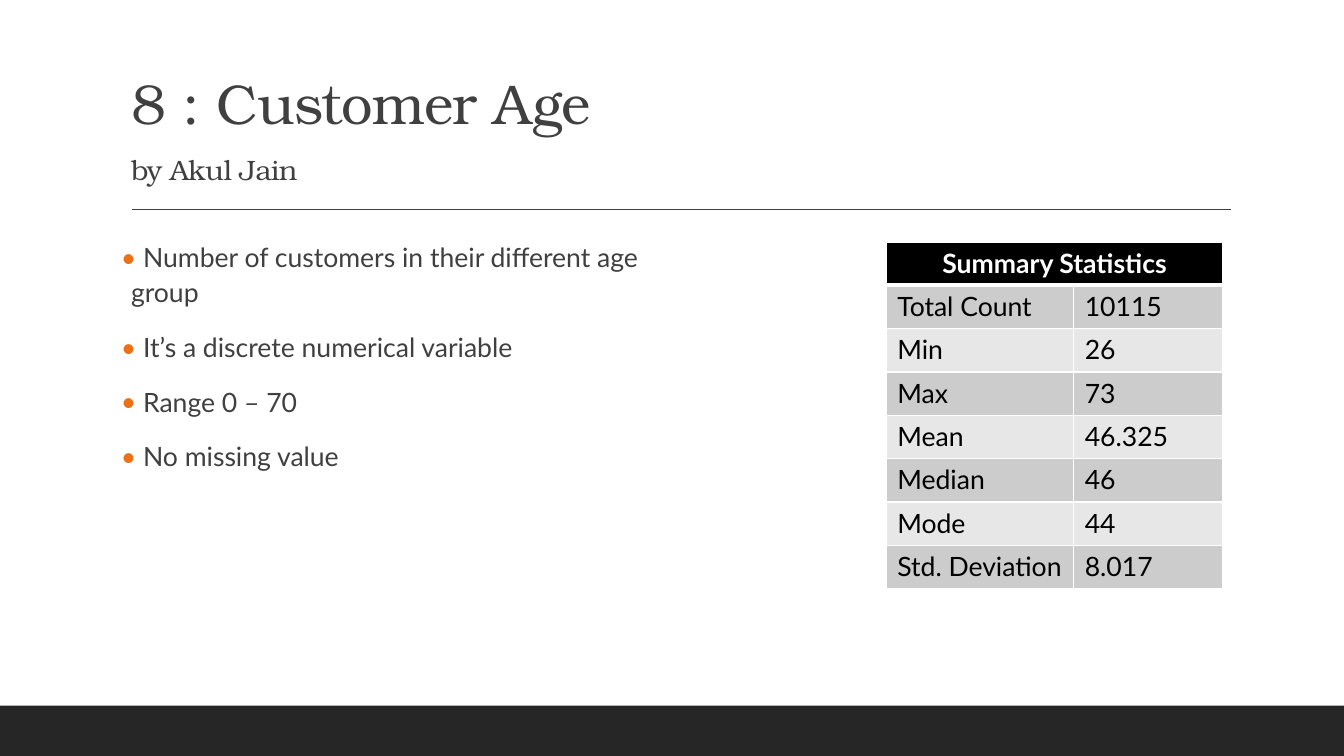
from lxml import etree
from pptx import Presentation
from pptx.dml.color import RGBColor
from pptx.enum.shapes import MSO_CONNECTOR, MSO_SHAPE
from pptx.enum.text import MSO_ANCHOR, MSO_AUTO_SIZE, PP_ALIGN
from pptx.oxml.ns import qn
from pptx.util import Inches, Pt

RECTANGLE = MSO_SHAPE.RECTANGLE
STRAIGHT = MSO_CONNECTOR.STRAIGHT
TOP, MIDDLE, BOTTOM = MSO_ANCHOR.TOP, MSO_ANCHOR.MIDDLE, MSO_ANCHOR.BOTTOM
LEFT, CENTER = PP_ALIGN.LEFT, PP_ALIGN.CENTER
NO_AUTOFIT = MSO_AUTO_SIZE.NONE

SERIF, SANS = "TeX Gyre Bonum", "Lato"
COLORS = {
    "text": "404040",
    "footer": "262626",
    "bullet": "EC7016",
    "header": "000000",
    "cell_text": "000000",
    "odd_row": "CCCCCC",
    "even_row": "E7E7E7",
    "white": "FFFFFF",
}
OBSERVATIONS = [
    " Number of customers in their different age group",
    " It’s a discrete numerical variable",
    " Range 0 – 70",
    " No missing value",
]
STATISTICS = [
    ("Total Count", "10115"),
    ("Min", "26"),
    ("Max", "73"),
    ("Mean", "46.325"),
    ("Median", "46"),
    ("Mode", "44"),
    ("Std. Deviation", "8.017"),
]


def rgb(name):
    return RGBColor.from_string(COLORS[name])


def write(paragraph, text, size=19, font=SANS, color="text", bold=False,
          align=LEFT, spacing=None):
    paragraph.alignment = align
    run = paragraph.add_run()
    run.text = text
    run.font.size = Pt(size)
    run.font.name = font
    run.font.bold = bold
    run.font.color.rgb = rgb(color)
    if spacing is not None:
        run.font._element.set("spc", str(round(spacing * 100)))


def place(placeholder, left, top, width, height, anchor):
    placeholder.left, placeholder.top = Inches(left), Inches(top)
    placeholder.width, placeholder.height = Inches(width), Inches(height)
    frame = placeholder.text_frame
    frame.word_wrap = True
    frame.auto_size = NO_AUTOFIT
    frame.vertical_anchor = anchor
    return frame


def add_bullet(paragraph, symbol, color):
    properties = paragraph._p.get_or_add_pPr()
    properties.set("marL", str(Inches(0.1)))
    properties.set("indent", str(Inches(-0.1)))
    bullet_color = etree.SubElement(properties, qn("a:buClr"))
    etree.SubElement(bullet_color, qn("a:srgbClr"), val=COLORS[color])
    etree.SubElement(properties, qn("a:buFont"), typeface=SANS)
    etree.SubElement(properties, qn("a:buChar"), char=symbol)


def add_footer_band(slide, left, top, width, height):
    band = slide.shapes.add_shape(
        RECTANGLE, Inches(left), Inches(top), Inches(width), Inches(height))
    band.shadow.inherit = False
    band.fill.solid()
    band.fill.fore_color.rgb = rgb("footer")
    band.line.fill.background()


def add_heading(slide, left, top, width, height):
    frame = place(slide.shapes.title, left, top, width, height, BOTTOM)
    heading = frame.paragraphs[0]
    heading.line_spacing = 1.5
    write(heading, "8 : Customer Age", size=40, font=SERIF, spacing=-0.5)
    heading.add_line_break()
    write(heading, "by Akul Jain", size=20, font=SERIF, spacing=-0.5)

    rule_y = Inches(top + height + 0.18)
    rule = slide.shapes.add_connector(
        STRAIGHT, Inches(left + 0.11), rule_y, Inches(left + width + 0.01), rule_y)
    rule.line.color.rgb = rgb("text")
    rule.line.width = Pt(1)
    etree.SubElement(rule._element.spPr, qn("a:effectLst"))


def add_observations(slide, left, top, width, height):
    frame = place(slide.placeholders[1], left, top, width, height, TOP)
    frame.margin_left = frame.margin_right = 0
    for index, observation in enumerate(OBSERVATIONS):
        paragraph = frame.add_paragraph() if index else frame.paragraphs[0]
        add_bullet(paragraph, "•", "bullet")
        paragraph.line_spacing = 1.1
        paragraph.space_before = Pt(12 if index else 0)
        paragraph.space_after = Pt(2)
        write(paragraph, observation)


def format_cell(cell, fill, bottom_width):
    cell.margin_left = cell.margin_right = Inches(0.11)
    cell.margin_top = cell.margin_bottom = Inches(0.05)
    properties = cell._tc.get_or_add_tcPr()
    for side, width in (("L", 1), ("R", 1), ("T", 1), ("B", bottom_width)):
        border = etree.SubElement(properties, qn(f"a:ln{side}"), w=str(Pt(width)))
        border_fill = etree.SubElement(border, qn("a:solidFill"))
        etree.SubElement(border_fill, qn("a:srgbClr"), val=COLORS["white"])
    cell.fill.solid()
    cell.fill.fore_color.rgb = rgb(fill)


def add_statistics(slide, left, top, width, height):
    row_count = len(STATISTICS) + 1
    table = slide.shapes.add_table(
        row_count, 2, Inches(left), Inches(top), Inches(width), Inches(height)).table
    label_width = 1.86
    table.columns[0].width = Inches(label_width)
    table.columns[1].width = Inches(width - label_width)
    for row in table.rows:
        row.height = Inches(height / row_count)

    header = table.cell(0, 0)
    header.merge(table.cell(0, 1))
    for column in range(2):
        format_cell(table.cell(0, column), "header", 3)
    header.vertical_anchor = MIDDLE
    write(header.text_frame.paragraphs[0], "Summary Statistics",
          color="white", bold=True, align=CENTER)

    for row_index, statistic in enumerate(STATISTICS, start=1):
        fill = "odd_row" if row_index % 2 else "even_row"
        for column, text in enumerate(statistic):
            cell = table.cell(row_index, column)
            format_cell(cell, fill, 1)
            write(cell.text_frame.paragraphs[0], text, color="cell_text")


def main():
    presentation = Presentation()
    presentation.slide_width = Inches(13.33)
    presentation.slide_height = Inches(7.5)
    slide = presentation.slides.add_slide(presentation.slide_layouts[1])
    add_footer_band(slide, 0, 7, 13.33, 0.5)
    add_heading(slide, 1.2, 0.31, 11, 1.59)
    add_observations(slide, 1.2, 2.31, 5.47, 4.11)
    add_statistics(slide, 8.79, 2.4, 3.34, 3.44)
    presentation.save("out.pptx")


if __name__ == "__main__":
    main()
